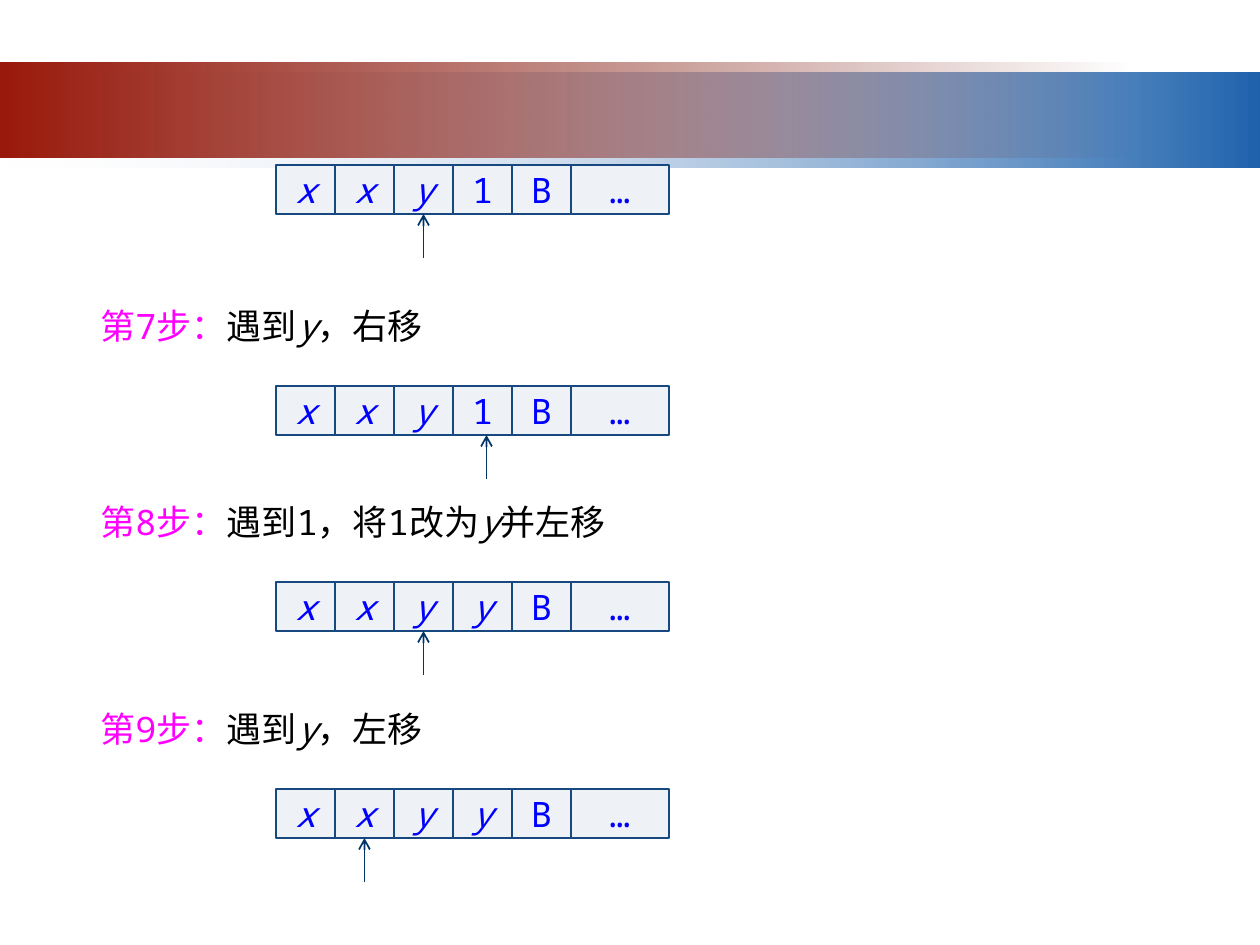
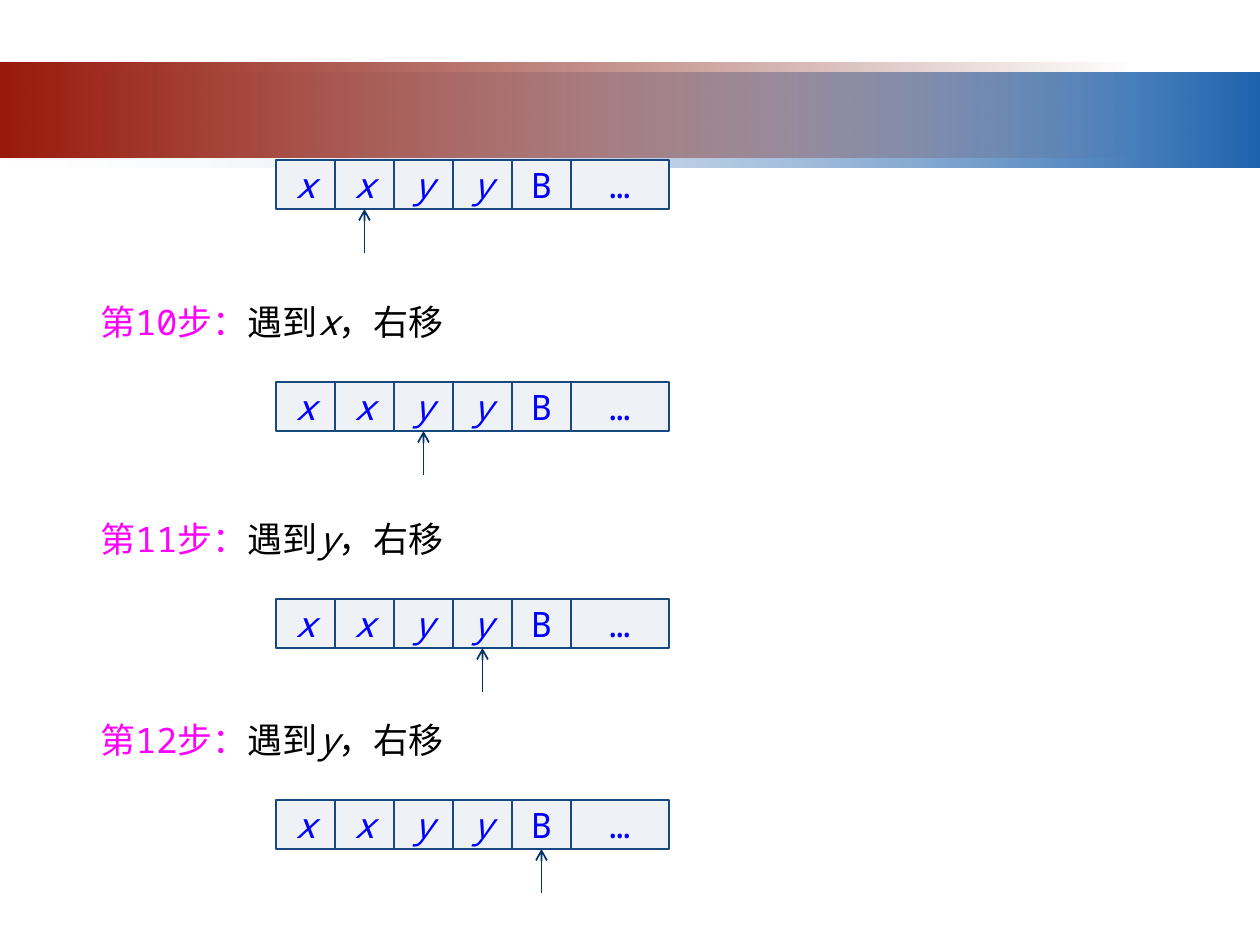
from itertools import groupby

from lxml import etree
from pptx import Presentation
from pptx.dml.color import RGBColor
from pptx.enum.shapes import MSO_CONNECTOR, MSO_SHAPE
from pptx.enum.text import MSO_ANCHOR, MSO_AUTO_SIZE, PP_ALIGN
from pptx.oxml.ns import qn
from pptx.util import Pt

RECTANGLE = MSO_SHAPE.RECTANGLE
STRAIGHT = MSO_CONNECTOR.STRAIGHT
MIDDLE = MSO_ANCHOR.MIDDLE
CENTER = PP_ALIGN.CENTER
GROW = MSO_AUTO_SIZE.SHAPE_TO_FIT_TEXT
BOTTOM_SIDE = 2

COLORS = {
    "band_pale": "F1F2F7", "band_blue": "1F63AD",
    "band_red": "99190B", "band_dark_red": "6D1208",
    "cell": "EEF1F6", "cell_line": "174980", "symbol": "0000FF",
    "head": "003366", "step": "FF00FF", "action": "000000",
}
TEXT_FORMAT = {"name": "Noto Sans Mono", "size": Pt(20)}
VARIABLES = "xy"

PAGE_WIDTH, PAGE_HEIGHT = 1260, 945
BANDS = [
    ((0, 73, 1260, 95), [("band_pale", 0), ("band_blue", 100)]),
    ((0, 63, 1134, 95), [("band_red", 100), ("band_dark_red", 0)]),
]
TAPE_LEFT, CELL_WIDTH, CELL_HEIGHT, LAST_CELL_WIDTH = 276, 59, 49, 98
HEAD_LENGTH = 44
LABEL_LEFT, LABEL_RISE, LABEL_WIDTH, LABEL_HEIGHT = 88, 88, 571, 56

# Each row: top, tape symbols, head cell, head nudge, step name, action
PAGES = [
    [
        (165, "xxy1B…", 2, 0, "", ""),
        (386, "xxy1B…", 3, 4, "第7步：", "遇到y，右移"),
        (582, "xxyyB…", 2, 0, "第8步：", "遇到1，将1改为y并左移"),
        (789, "xxyyB…", 1, 0, "第9步：", "遇到y，左移"),
    ],
    [
        (160, "xxyyB…", 1, 0, "", ""),
        (382, "xxyyB…", 2, 0, "第10步：", "遇到x，右移"),
        (599, "xxyyB…", 3, 0, "第11步：", "遇到y，右移"),
        (800, "xxyyB…", 4, 0, "第12步：", "遇到y，右移"),
    ],
]


def px(length):
    """Turn a length in px into EMU."""
    return round(length * 914400 / 126)


def color(name):
    """Look up a named colour."""
    return RGBColor.from_string(COLORS[name])


def add_spans(para, text, color_name):
    """Write text with the variables in italics."""
    for italic, letters in groupby(text, lambda letter: letter in VARIABLES):
        span = para.add_run()
        span.text = "".join(letters)
        for key, value in {**TEXT_FORMAT, "italic": italic}.items():
            setattr(span.font, key, value)
        span.font.color.rgb = color(color_name)


def add_rectangle(page, box):
    """Add a rectangle without shadow."""
    shape = page.shapes.add_shape(RECTANGLE, *map(px, box))
    shape.shadow.inherit = False
    return shape


def add_band(page, box, stops):
    """Add a horizontal gradient band that fades by the given opacities."""
    band = add_rectangle(page, box)
    band.line.fill.background()
    band.fill.gradient()
    band.fill.gradient_angle = 0
    for stop, (name, _) in zip(band.fill.gradient_stops, stops):
        stop.color.rgb = color(name)
    tints = band._element.spPr.iter(qn("a:srgbClr"))
    for tint, (_, opacity) in zip(tints, stops):
        etree.SubElement(tint, qn("a:alpha"), val=str(opacity * 1000))


def add_cell(page, box, symbol):
    """Add one tape cell holding a symbol."""
    cell = add_rectangle(page, box)
    cell.fill.solid()
    cell.fill.fore_color.rgb = color("cell")
    cell.line.color.rgb = color("cell_line")
    cell.line.width = Pt(1)
    cell.text_frame.vertical_anchor = MIDDLE
    para = cell.text_frame.paragraphs[0]
    para.alignment = CENTER
    add_spans(para, symbol, "symbol")
    return cell


def add_tape(page, left, top, symbols):
    """Add a row of cells, the last one wider, and return them."""
    widths = [CELL_WIDTH] * (len(symbols) - 1) + [LAST_CELL_WIDTH]
    return [
        add_cell(page, (left + i * CELL_WIDTH, top, width, CELL_HEIGHT), symbol)
        for i, (symbol, width) in enumerate(zip(symbols, widths))
    ]


def add_head(page, cell, nudge):
    """Add the head arrow pointing up at a cell."""
    x = cell.left + cell.width // 2 + px(nudge)
    bottom = cell.top + cell.height
    head = page.shapes.add_connector(STRAIGHT, x, bottom + px(HEAD_LENGTH), x, bottom)
    if not nudge:
        head.end_connect(cell, BOTTOM_SIDE)
    head.line.color.rgb = color("head")
    head.line.width = Pt(1)
    etree.SubElement(head.line._get_or_add_ln(), qn("a:tailEnd"), type="arrow")
    etree.SubElement(head._element.spPr, qn("a:effectLst"))


def add_label(page, box, step, action):
    """Add the step name and what the machine does in it."""
    frame = page.shapes.add_textbox(*map(px, box)).text_frame
    frame.word_wrap = True
    frame.auto_size = GROW
    para = frame.paragraphs[0]
    add_spans(para, step, "step")
    add_spans(para, action, "action")


def add_page(deck, rows):
    """Add a page of tape states under the bands."""
    page = deck.slides.add_slide(deck.slide_layouts[6])
    for box, stops in BANDS:
        add_band(page, box, stops)
    for top, symbols, position, nudge, step, action in rows:
        if step:
            box = (LABEL_LEFT, top - LABEL_RISE, LABEL_WIDTH, LABEL_HEIGHT)
            add_label(page, box, step, action)
        cells = add_tape(page, TAPE_LEFT, top, symbols)
        add_head(page, cells[position], nudge)


def main():
    """Build the deck and save it."""
    deck = Presentation()
    deck.slide_width, deck.slide_height = px(PAGE_WIDTH), px(PAGE_HEIGHT)
    for rows in PAGES:
        add_page(deck, rows)
    deck.save("out.pptx")


if __name__ == "__main__":
    main()
